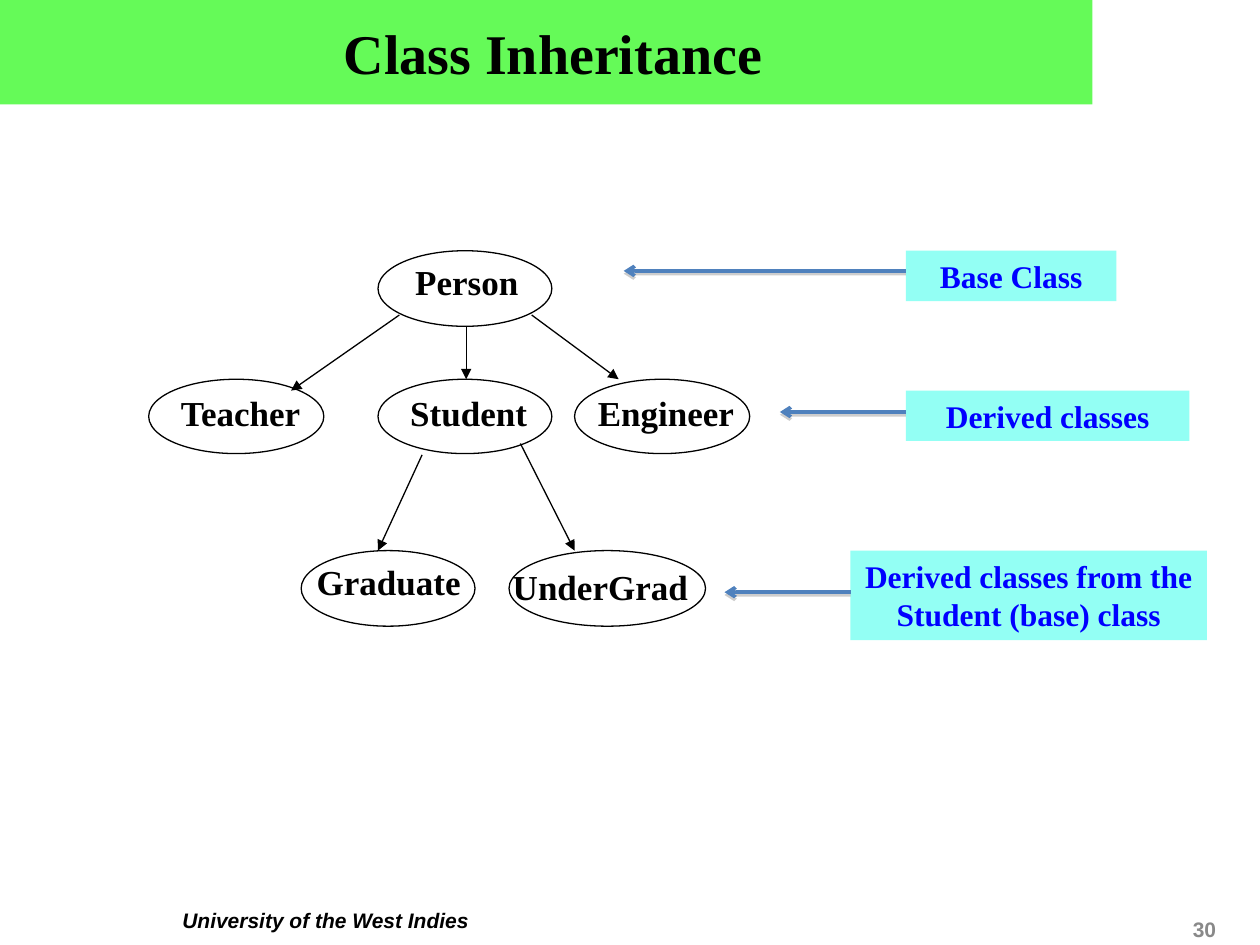
from lxml.etree import SubElement
from pptx import Presentation
from pptx.dml.color import RGBColor
from pptx.enum.shapes import MSO_CONNECTOR, MSO_SHAPE
from pptx.enum.text import MSO_ANCHOR, PP_ALIGN
from pptx.oxml import parse_xml
from pptx.oxml.ns import nsdecls, qn
from pptx.util import Inches, Pt

BLACK = RGBColor(0x00, 0x00, 0x00)
GRAY = RGBColor(0x89, 0x89, 0x89)
GREEN = RGBColor(0x65, 0xFA, 0x58)
CYAN = RGBColor(0x6A, 0xFF, 0xF0)
BLUE = RGBColor(0x00, 0x00, 0xFF)
STEEL = RGBColor(0x4F, 0x81, 0xBD)
SERIF, SANS = "Times New Roman", "Arial"

TITLE = " Class Inheritance"
FOOTER = "University of the West Indies"
PAGE = "30"

CLASSES = [
    ("Person", (3, 1.99, 1.38, 0.6), (3.19, 2.02, 1.03, 0.44)),
    ("Student", (3, 3.01, 1.38, 0.59), (3.15, 3.06, 1.14, 0.44)),
    ("Teacher", (1.18, 3.01, 1.39, 0.59), (1.33, 3.06, 1.16, 0.44)),
    ("Engineer", (4.56, 3.01, 1.39, 0.59), (4.64, 3.06, 1.29, 0.44)),
    ("Graduate", (2.39, 4.37, 1.38, 0.6), (2.35, 4.4, 1.47, 0.44)),
    ("UnderGrad", (4.04, 4.37, 1.56, 0.6), (3.94, 4.44, 1.65, 0.44)),
]
INHERITANCE = [
    ((3.17, 2.5), (2.31, 3.1)),
    ((4.22, 2.5), (4.91, 3.01)),
    ((3.7, 2.59), (3.7, 3.01)),
    ((3.35, 3.61), (3, 4.37)),
    ((4.13, 3.52), (4.56, 4.37)),
]
CALLOUTS = [
    ("Base Class", (7.19, 1.99, 1.67, 0.4), (4.95, 2.15)),
    ("Derived classes", (7.19, 3.1, 2.25, 0.4), (6.19, 3.27)),
    ("Derived classes from the Student (base) class", (6.75, 4.37, 2.83, 0.71), (5.75, 4.7)),
]

SHADOW = (
    f'<a:effectLst {nsdecls("a")}><a:outerShdw blurRad="0" dist="20000" dir="5400000" '
    'rotWithShape="0"><a:srgbClr val="808080"><a:alpha val="38000"/></a:srgbClr>'
    "</a:outerShdw></a:effectLst>"
)
NO_EFFECT = f'<a:effectLst {nsdecls("a")}/>'


def inches(values):
    return [Inches(v) for v in values]


def write(sp, text, size, color=BLACK, font=SERIF, align=PP_ALIGN.CENTER,
          anchor=MSO_ANCHOR.TOP, italic=False, wrap=True):
    tf = sp.text_frame
    tf.word_wrap = wrap
    tf.vertical_anchor = anchor
    p = tf.paragraphs[0]
    p.alignment = align
    r = p.add_run()
    r.text = text
    r.font.name = font
    r.font.size = Pt(size)
    r.font.bold = True
    r.font.italic = italic
    r.font.color.rgb = color


def add_text(s, box, text, size, **style):
    write(s.shapes.add_textbox(*inches(box)), text, size, **style)


def add_rect(s, box, fill):
    sp = s.shapes.add_shape(MSO_SHAPE.RECTANGLE, *inches(box))
    sp.shadow.inherit = False
    sp.fill.solid()
    sp.fill.fore_color.rgb = fill
    sp.line.fill.background()
    return sp


def add_ellipse(s, box):
    sp = s.shapes.add_shape(MSO_SHAPE.OVAL, *inches(box))
    sp.shadow.inherit = False
    sp.fill.background()
    sp.line.color.rgb = BLACK
    sp.line.width = Pt(0.75)


def add_arrow(s, start, end, color, width, head, effect):
    line = s.shapes.add_connector(MSO_CONNECTOR.STRAIGHT, *inches(start + end))
    line.line.color.rgb = color
    line.line.width = Pt(width)
    SubElement(line.line._get_or_add_ln(), qn("a:tailEnd"), type=head)
    line._element.spPr.append(parse_xml(effect))


def main():
    prs = Presentation()
    prs.slide_width, prs.slide_height = Inches(10), Inches(7.5)
    s = prs.slides.add_slide(prs.slide_layouts[6])

    add_text(s, (0.5, 7.15, 4.17, 0.3), FOOTER, 12, font=SANS, italic=True)
    add_text(s, (9, 7.25, 0.75, 0.25), PAGE, 12, color=GRAY, font=SANS,
             align=PP_ALIGN.RIGHT, anchor=MSO_ANCHOR.MIDDLE)
    write(add_rect(s, (0, 0, 8.67, 0.83), GREEN), TITLE, 32, anchor=MSO_ANCHOR.MIDDLE)

    for name, oval, label in CLASSES:
        add_ellipse(s, oval)
        add_text(s, label, name, 20, wrap=False)
    for start, end in INHERITANCE:
        add_arrow(s, start, end, BLACK, 0.75, "triangle", NO_EFFECT)

    for text, box, tip in CALLOUTS:
        sp = add_rect(s, box, CYAN)
        color = sp._element.spPr.find(qn("a:solidFill"))[0]
        SubElement(color, qn("a:alpha"), val="72000")
        write(sp, text, 18, color=BLUE)
        add_arrow(s, (box[0], tip[1]), tip, STEEL, 2, "arrow", SHADOW)

    prs.save("out.pptx")


if __name__ == "__main__":
    main()
